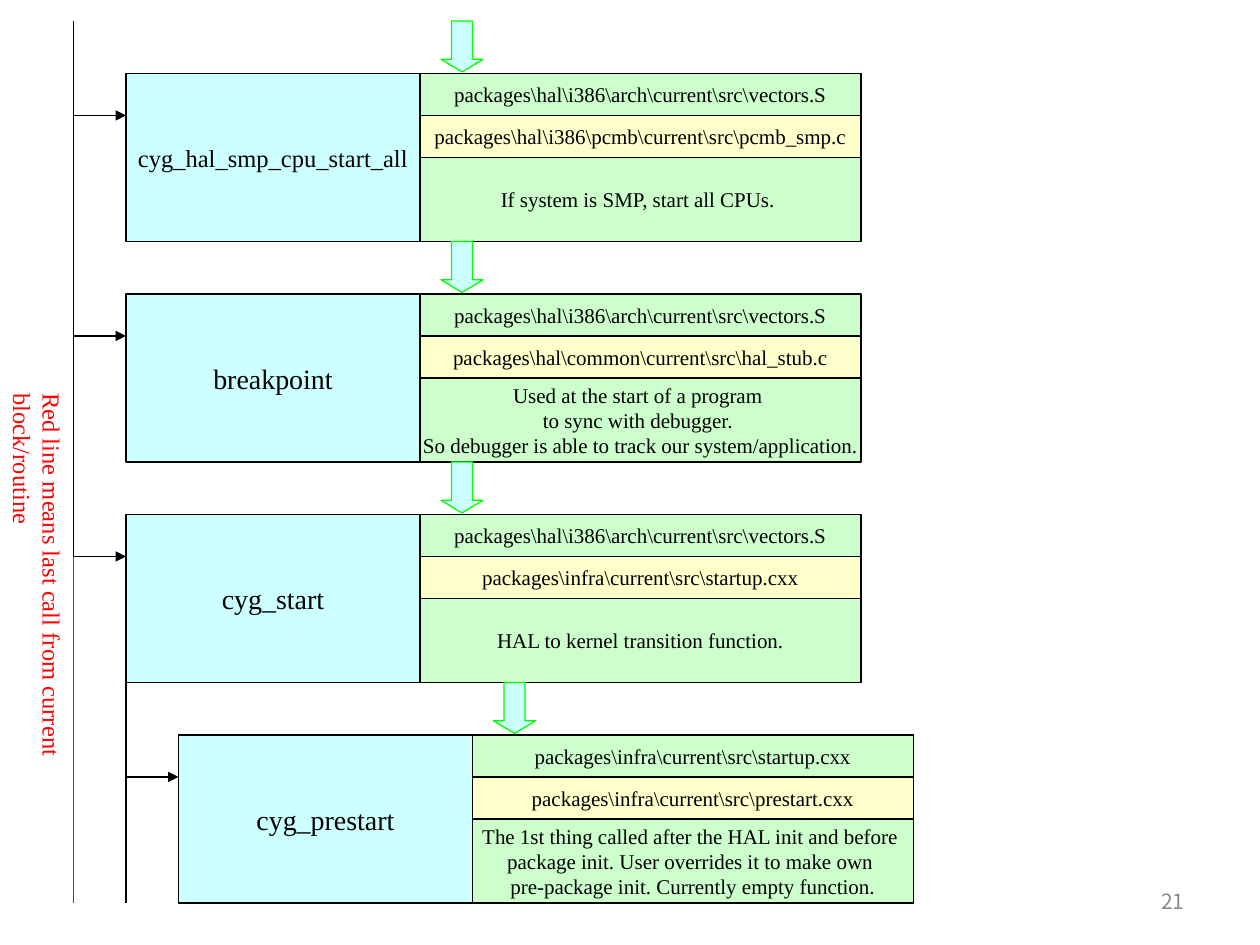
from pptx import Presentation
from pptx.dml.color import RGBColor
from pptx.enum.shapes import MSO_CONNECTOR, MSO_SHAPE
from pptx.enum.text import MSO_ANCHOR, PP_ALIGN
from pptx.oxml.ns import qn
from pptx.util import Inches, Pt
from lxml.etree import SubElement

SERIF = "Times New Roman"
BLACK, RED, LIME = "000000", "FF0000", "00FF00"
AQUA, GREEN, CREAM = "CCFFFF", "CCFFCC", "FFFFCC"
VECTORS = r"packages\hal\i386\arch\current\src\vectors.S"
STARTUP = r"packages\infra\current\src\startup.cxx"

# indent level, routine, name size, caller file, own file, notes
CALLS = [
    (0, "cyg_hal_smp_cpu_start_all", 14, VECTORS,
     r"packages\hal\i386\pcmb\current\src\pcmb_smp.c",
     ["If system is SMP, start all CPUs. "]),
    (0, "breakpoint", 16, VECTORS,
     r"packages\hal\common\current\src\hal_stub.c",
     ["Used at the start of a program ",
      "to sync with debugger. ",
      "So debugger is able to track our system/application."]),
    (0, "cyg_start", 16, VECTORS, STARTUP,
     ["HAL to kernel transition function."]),
    (1, "cyg_prestart", 16, STARTUP,
     r"packages\infra\current\src\prestart.cxx",
     ["The 1st thing called after the HAL init and before ",
      "package init. User overrides it to make own ",
      "pre-package init. Currently empty function."]),
]
LEGEND = "Red line means last call from current block/routine"

# The slide is a grid of 120 columns by 90 rows, 12 to the inch.
LEFT, TOP, STEP, INDENT = 12, 7, 21, 5
NAME_W, INFO_W, ROW_H = 28, 42, 4
BLOCK_H = 4 * ROW_H
TRUNK, START, END = LEFT - INDENT, 2, 86

deck = Presentation()
deck.slide_width, deck.slide_height = Inches(10), Inches(7.5)
slide = deck.slides.add_slide(deck.slide_layouts[6])
shapes = slide.shapes


def grid(*cells):
    return [Inches(cell / 12) for cell in cells]


def color(code):
    return RGBColor.from_string(code)


def write(shape, lines, size, tint=BLACK, font=SERIF,
          align=PP_ALIGN.CENTER, wrap=False):
    frame = shape.text_frame
    frame.word_wrap = wrap
    frame.text = "\n".join(lines)
    look = {"size": Pt(size), "name": font}
    for para in frame.paragraphs:
        para.alignment = align
        for run in para.runs:
            for key, value in look.items():
                setattr(run.font, key, value)
            run.font.color.rgb = color(tint)
            SubElement(run.font._element, qn("a:ea"), typeface=font)
    return frame


def draw(kind, area, fill, edge=BLACK):
    shape = shapes.add_shape(kind, *grid(*area))
    shape.shadow.inherit = False
    shape.fill.solid()
    shape.fill.fore_color.rgb = color(fill)
    shape.line.color.rgb = color(edge)
    shape.line.width = Pt(0.75)
    return shape


def box(area, fill, lines, size=12):
    frame = write(draw(MSO_SHAPE.RECTANGLE, area, fill), lines, size)
    frame.vertical_anchor = MSO_ANCHOR.MIDDLE


def link(ends, tint=BLACK, head=False):
    line = shapes.add_connector(MSO_CONNECTOR.STRAIGHT, *grid(*ends))
    line.line.color.rgb = color(tint)
    line.line.width = Pt(0.75)
    if head:
        SubElement(line.line._get_or_add_ln(), qn("a:tailEnd"), type="triangle")
    SubElement(line._element.spPr, qn("a:effectLst"))


def block(row, call):
    level, name, size, caller, source, notes = call
    x, y = LEFT + level * INDENT, TOP + row * STEP
    info = x + NAME_W
    box((x, y, NAME_W, BLOCK_H), AQUA, [name], size)
    box((info, y + 2 * ROW_H, INFO_W, 2 * ROW_H), GREEN, notes)
    box((info, y, INFO_W, ROW_H), GREEN, [caller])
    box((info, y + ROW_H, INFO_W, ROW_H), CREAM, [source])
    arrow = draw(MSO_SHAPE.DOWN_ARROW, (info + 2, y - 5, 4, 4.85), AQUA, LIME)
    arrow.adjustments[1] = 0.3
    link((x - INDENT, y + ROW_H, x, y + ROW_H), head=True)


for row, call in enumerate(CALLS):
    block(row, call)

last = TOP + 2 * STEP
link((TRUNK, START, TRUNK, last + ROW_H))
link((TRUNK, last + ROW_H, TRUNK, END), RED)
link((LEFT, last + BLOCK_H, LEFT, END))

legend = shapes.add_textbox(*grid(-1, 36.25, 8, 48.75))
frame = write(legend, [LEGEND], 14, RED, align=PP_ALIGN.LEFT, wrap=True)
frame._txBody.bodyPr.set("vert", "eaVert")
margins = {"margin_left": 0.05, "margin_right": 0.05,
           "margin_top": 0.1, "margin_bottom": 0.1}
for side, gap in margins.items():
    setattr(frame, side, Inches(gap))

number = shapes.add_textbox(*grid(86, 83.4, 28, 4.8))
frame = write(number, ["21"], 12, "898989", "Noto Sans CJK KR",
              PP_ALIGN.RIGHT, True)
frame.vertical_anchor = MSO_ANCHOR.MIDDLE

deck.save("out.pptx")
